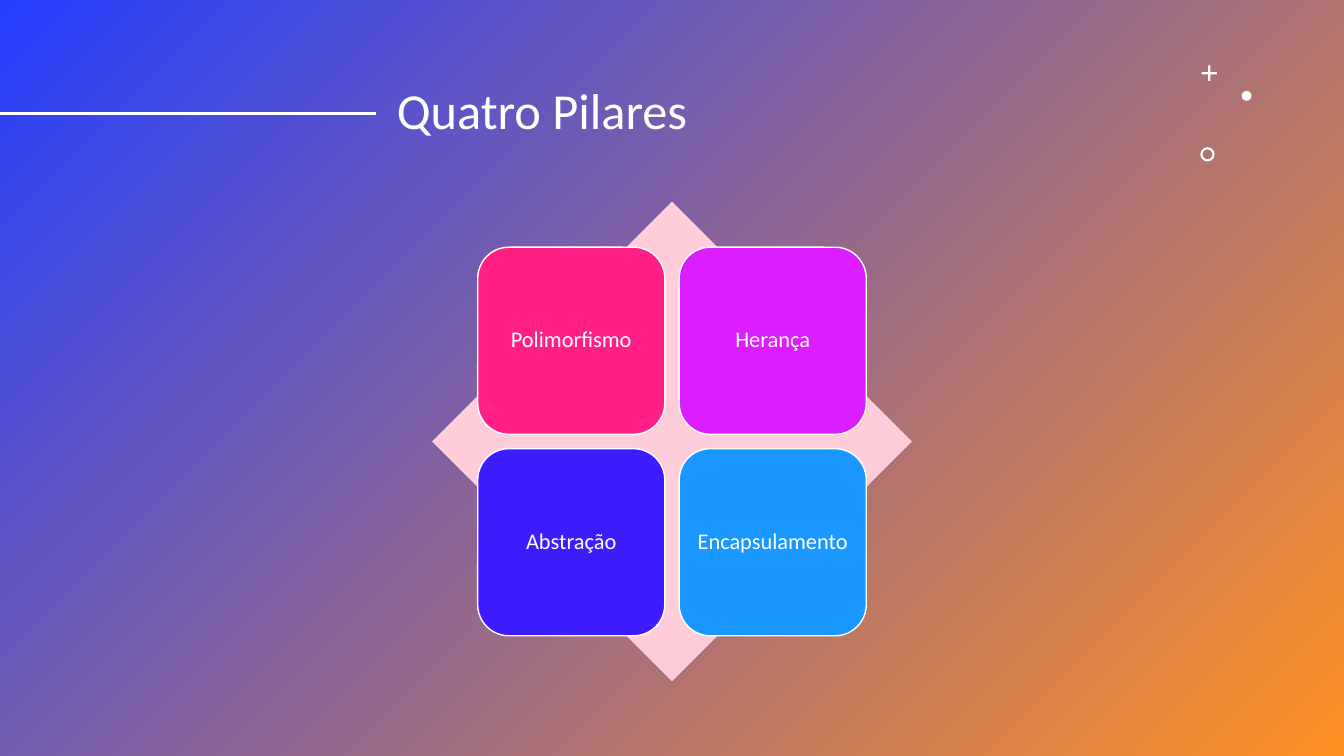
import pptx
import pptx.util
import pptx.dml.color
import pptx.enum.dml
import pptx.enum.shapes
import pptx.enum.text
import pptx.oxml.ns
import lxml.etree

Cm, Pt = pptx.util.Cm, pptx.util.Pt
MSO = pptx.enum.shapes.MSO_SHAPE
ALIGN = pptx.enum.text.PP_ALIGN
MIDDLE = pptx.enum.text.MSO_ANCHOR.MIDDLE

COLORS = {
    "white": "FFFFFF",
    "blue": "243FFF",
    "orange": "FF9022",
    "pale_pink": "FFCDD9",
    "pink": "FF1F85",
    "purple": "DC1DFF",
    "indigo": "3D1CFF",
    "sky": "1A98FF",
}
PILLARS = [
    ("Polimorfismo", "pink"),
    ("Herança", "purple"),
    ("Abstração", "indigo"),
    ("Encapsulamento", "sky"),
]


def rgb(name):
    return pptx.dml.color.RGBColor.from_string(COLORS[name])


def apply(obj, values):
    for name, value in values.items():
        setattr(obj, name, value)


def add_shape(slide, kind, x, y, w, h, fill=None, line=None, adj=None):
    sp = slide.shapes.add_shape(kind, Cm(x), Cm(y), Cm(w), Cm(h))
    sp.shadow.inherit = False
    if fill:
        sp.fill.solid()
        sp.fill.fore_color.rgb = rgb(fill)
    if line:
        sp.line.color.rgb = rgb(line)
        sp.line.width = Pt(1)
    else:
        sp.line.fill.background()
    if adj is not None:
        sp.adjustments[0] = adj
    return sp


def write(sp, text, size, align, inset):
    tf = sp.text_frame
    apply(tf, {
        "word_wrap": True,
        "vertical_anchor": MIDDLE,
        "margin_left": Cm(inset),
        "margin_right": Cm(inset),
        "margin_top": Cm(inset),
        "margin_bottom": Cm(inset),
    })
    p = tf.paragraphs[0]
    apply(p, {"alignment": align, "line_spacing": 0.9})
    r = p.add_run()
    r.text = text
    apply(r.font, {"name": "Calibri", "size": Pt(size)})
    r.font.color.rgb = rgb("white")


def add_background(slide, x, y, w, h):
    sp = add_shape(slide, MSO.RECTANGLE, x, y, w, h)
    sp.fill.gradient()
    sp.fill.gradient_angle = 315
    for stop, name in zip(sp.fill.gradient_stops, ("blue", "orange")):
        stop.color.rgb = rgb(name)


def add_title(slide, x, y, w, h):
    middle = Cm(y + h / 2)
    line = slide.shapes.add_connector(
        pptx.enum.shapes.MSO_CONNECTOR.STRAIGHT, 0, middle, Cm(x - 0.28), middle)
    line.line.color.rgb = rgb("white")
    line.line.width = Pt(2)
    lxml.etree.SubElement(line.element.spPr, pptx.oxml.ns.qn("a:effectLst"))
    sp = slide.shapes.add_textbox(Cm(x), Cm(y), Cm(w), Cm(h))
    write(sp, "Quatro Pilares", 36, ALIGN.LEFT, 0.25)


def add_ornament(slide, x, y):
    marks = [
        (MSO.CROSS, 0.03, 0, 0.39, 0.43),
        (MSO.OVAL, 1.04, 0.64, 0.25, None),
        (MSO.DONUT, 0, 2.06, 0.36, 0.15),
    ]
    for kind, dx, dy, size, adj in marks:
        add_shape(slide, kind, x + dx, y + dy, size, size, "white", adj=adj)


def add_pillars(slide, x, y, side):
    add_shape(slide, MSO.DIAMOND, x, y, side, side, "pale_pink")
    tile, pitch = 0.39 * side, 0.42 * side
    start = (side - tile - pitch) / 2
    for i, (label, color) in enumerate(PILLARS):
        row, col = divmod(i, 2)
        sp = add_shape(slide, MSO.ROUNDED_RECTANGLE,
                       x + start + col * pitch, y + start + row * pitch,
                       tile, tile, color, "white")
        write(sp, label, 16, ALIGN.CENTER, 0.17)


prs = pptx.Presentation()
apply(prs, {"slide_width": Cm(33.87), "slide_height": Cm(19.05)})
s = prs.slides.add_slide(prs.slide_layouts[6])
add_background(s, 0, 0, 33.87, 19.05)
add_title(s, 9.75, 1.02, 19.89, 3.68)
add_ornament(s, 30.25, 1.65)
add_pillars(s, 10.89, 5.08, 12.09)
prs.save("out.pptx")
